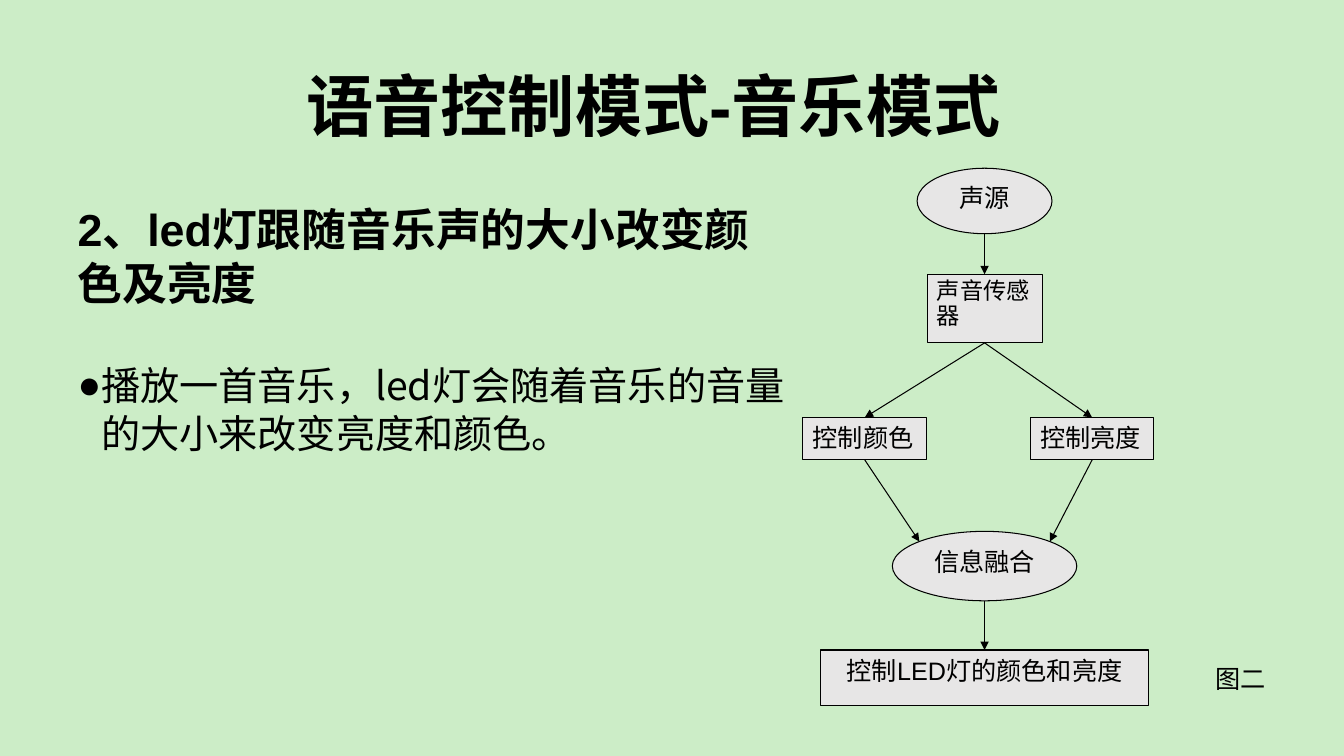
from math import sqrt

from lxml.etree import SubElement
from pptx import Presentation
from pptx.dml.color import RGBColor
from pptx.enum.shapes import MSO_CONNECTOR, MSO_SHAPE
from pptx.enum.text import MSO_ANCHOR, MSO_AUTO_SIZE, PP_ALIGN
from pptx.oxml.ns import qn
from pptx.util import Cm, Pt

BACKGROUND = RGBColor(0xCC, 0xED, 0xC7)
NODE_FILL = RGBColor(0xE7, 0xE6, 0xE6)
BLACK = RGBColor(0, 0, 0)
LATIN_FONT = "Arial"
CJK_FONT = "Noto Sans CJK SC"

# Centre lines of the flow chart, in centimetres
AXIS, COLOUR_AXIS, BRIGHTNESS_AXIS = 24.82, 21.8, 27.53


def format_paragraph(paragraph, size, bold=False, font=LATIN_FONT, align=PP_ALIGN.LEFT):
    paragraph.alignment = align
    paragraph.space_before = Pt(0)
    for run in paragraph.runs:
        run.font.name = font
        run.font.size = Pt(size)
        run.font.bold = bold
        run.font.color.rgb = BLACK


def place(shape, left, top, width, height):
    shape.left, shape.top = Cm(left), Cm(top)
    shape.width, shape.height = Cm(width), Cm(height)
    shape.text_frame.auto_size = MSO_AUTO_SIZE.NONE
    shape.text_frame.vertical_anchor = MSO_ANCHOR.TOP


def set_bullet(paragraph, character=None, indent=0):
    """Give the paragraph a hanging bullet, or none at all."""
    properties = paragraph._p.get_or_add_pPr()
    properties.set("marL", str(Cm(indent)))
    properties.set("indent", str(-Cm(indent)))
    if character:
        SubElement(properties, qn("a:buChar")).set("char", character)
    else:
        SubElement(properties, qn("a:buNone"))


def add_title(slide, text):
    title = slide.shapes.title
    place(title, 7.47, 1.5, 21.13, 2.29)
    title.text_frame.text = text
    format_paragraph(title.text_frame.paragraphs[0], 48, bold=True)


def add_body(slide, heading_text, item_text):
    body = slide.placeholders[1]
    place(body, 1.7, 4.95, 18.42, 6.7)
    frame = body.text_frame
    frame.text = heading_text
    heading, item = frame.paragraphs[0], frame.add_paragraph()
    item.text = item_text
    set_bullet(heading)
    set_bullet(item, "●", 0.6)
    format_paragraph(heading, 32, bold=True)
    format_paragraph(item, 28, font=CJK_FONT)
    heading.line_spacing = Pt(38.5)
    item.line_spacing = Pt(34)
    item.space_before = Pt(37)


def add_node(slide, kind, text, centre, top, width, height,
             align=PP_ALIGN.CENTER, size=18):
    node = slide.shapes.add_shape(kind, 0, 0, 0, 0)
    place(node, centre - width / 2, top, width, height)
    node.shadow.inherit = False
    node.fill.solid()
    node.fill.fore_color.rgb = NODE_FILL
    node.line.color.rgb = BLACK
    node.line.width = Pt(0.75)
    node.text_frame.word_wrap = True
    node.text_frame.text = text
    format_paragraph(node.text_frame.paragraphs[0], size, align=align)
    return node


def middle(shape, side):
    """Point at the middle of the top (0) or bottom (2) side."""
    y = shape.top if side == 0 else shape.top + shape.height
    return shape.left + shape.width // 2, y


def shoulder(ellipse, direction):
    """Point on the upper left (-1) or upper right (1) of an ellipse."""
    x = ellipse.left + ellipse.width / 2 * (1 + direction / sqrt(2))
    y = ellipse.top + ellipse.height / 2 * (1 - 1 / sqrt(2))
    return int(x), int(y)


def add_arrow(slide, start, end, end_point=None):
    """Arrow from the bottom of start to the top of end, or to end_point."""
    arrow = slide.shapes.add_connector(
        MSO_CONNECTOR.STRAIGHT, *middle(start, 2), *(end_point or middle(end, 0)))
    if start.auto_shape_type == MSO_SHAPE.RECTANGLE:
        arrow.begin_connect(start, 2)
    if end.auto_shape_type == MSO_SHAPE.RECTANGLE:
        arrow.end_connect(end, 0)
    arrow.line.color.rgb = BLACK
    arrow.line.width = Pt(0.75)
    SubElement(arrow.line._get_or_add_ln(), qn("a:tailEnd")).set("type", "triangle")
    SubElement(arrow._element.spPr, qn("a:effectLst"))


def add_flow_chart(slide):
    rectangle, ellipse = MSO_SHAPE.RECTANGLE, MSO_SHAPE.OVAL
    left = PP_ALIGN.LEFT
    source = add_node(slide, ellipse, "声源", AXIS, 4.24, 3.4, 1.65)
    sensor = add_node(slide, rectangle, "声音传感器", AXIS, 6.91, 2.9, 1.73, left, 16.6)
    sensor.text_frame.paragraphs[0].line_spacing = 0.9
    colour = add_node(slide, rectangle, "控制颜色", COLOUR_AXIS, 10.52, 3.12, 1.07, left)
    brightness = add_node(slide, rectangle, "控制亮度", BRIGHTNESS_AXIS, 10.52, 3.12, 1.07, left)
    fusion = add_node(slide, ellipse, "信息融合", AXIS, 13.39, 4.65, 1.75)
    output = add_node(slide, rectangle, "控制LED灯的颜色和亮度", AXIS, 16.38, 8.26, 1.4)

    add_arrow(slide, source, sensor)
    add_arrow(slide, fusion, output)
    for branch, direction in ((colour, -1), (brightness, 1)):
        add_arrow(slide, sensor, branch)
        add_arrow(slide, branch, fusion, shoulder(fusion, direction))


def add_caption(slide, text):
    caption = slide.shapes.add_textbox(0, 0, 0, 0)
    place(caption, 30.38, 16.59, 1.78, 1.02)
    caption.text_frame.word_wrap = False
    caption.text_frame.text = text
    format_paragraph(caption.text_frame.paragraphs[0], 18)


def main():
    presentation = Presentation()
    presentation.slide_width, presentation.slide_height = Cm(33.88), Cm(19.05)
    slide = presentation.slides.add_slide(presentation.slide_layouts[1])
    slide.background.fill.solid()
    slide.background.fill.fore_color.rgb = BACKGROUND
    add_title(slide, "语音控制模式-音乐模式")
    add_body(slide, "2、led灯跟随音乐声的大小改变颜色及亮度",
             "播放一首音乐，led灯会随着音乐的音量的大小来改变亮度和颜色。")
    add_flow_chart(slide)
    add_caption(slide, "图二")
    presentation.save("out.pptx")


if __name__ == "__main__":
    main()
